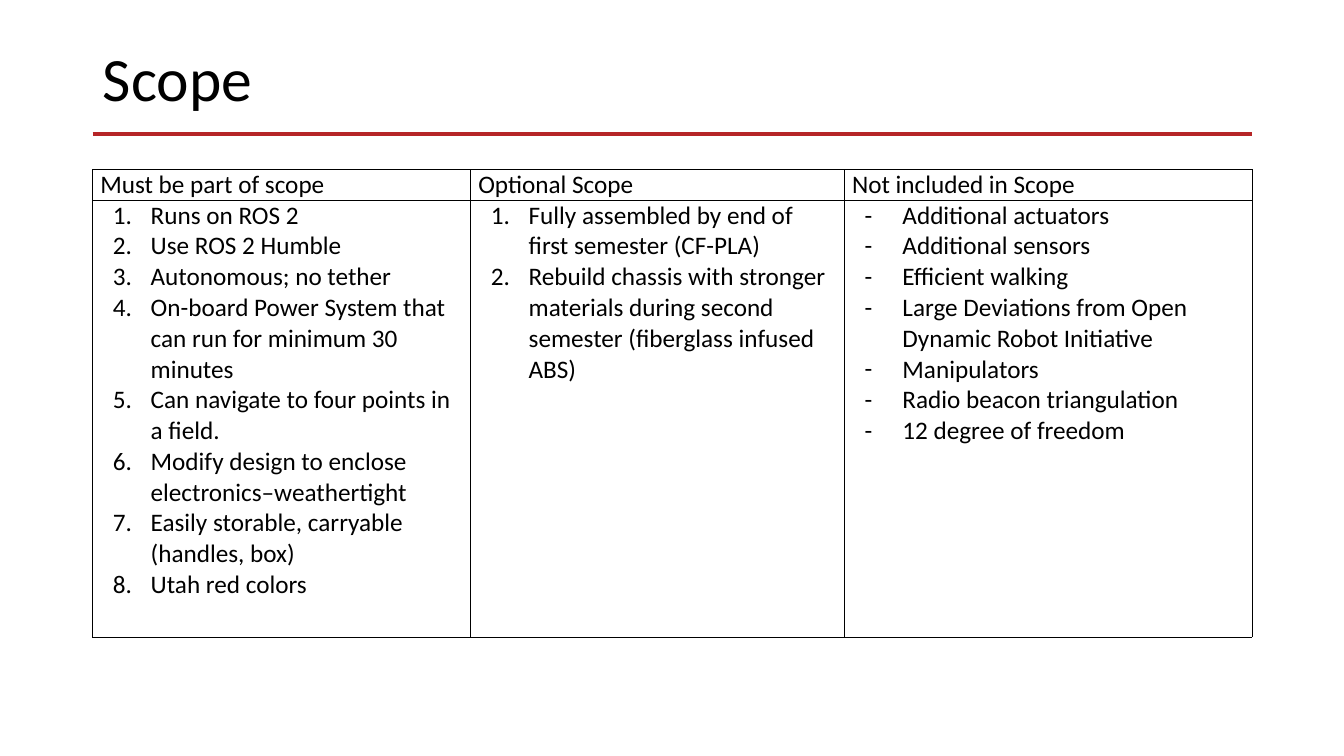
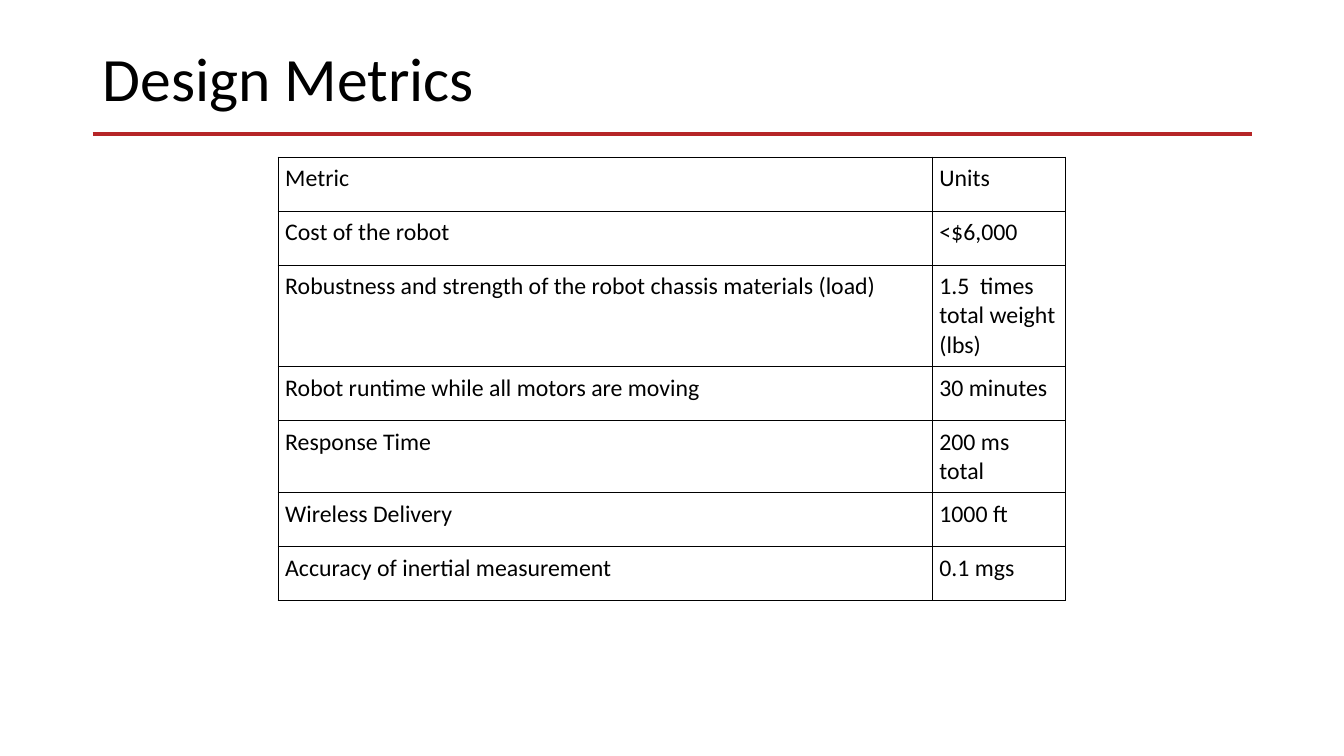
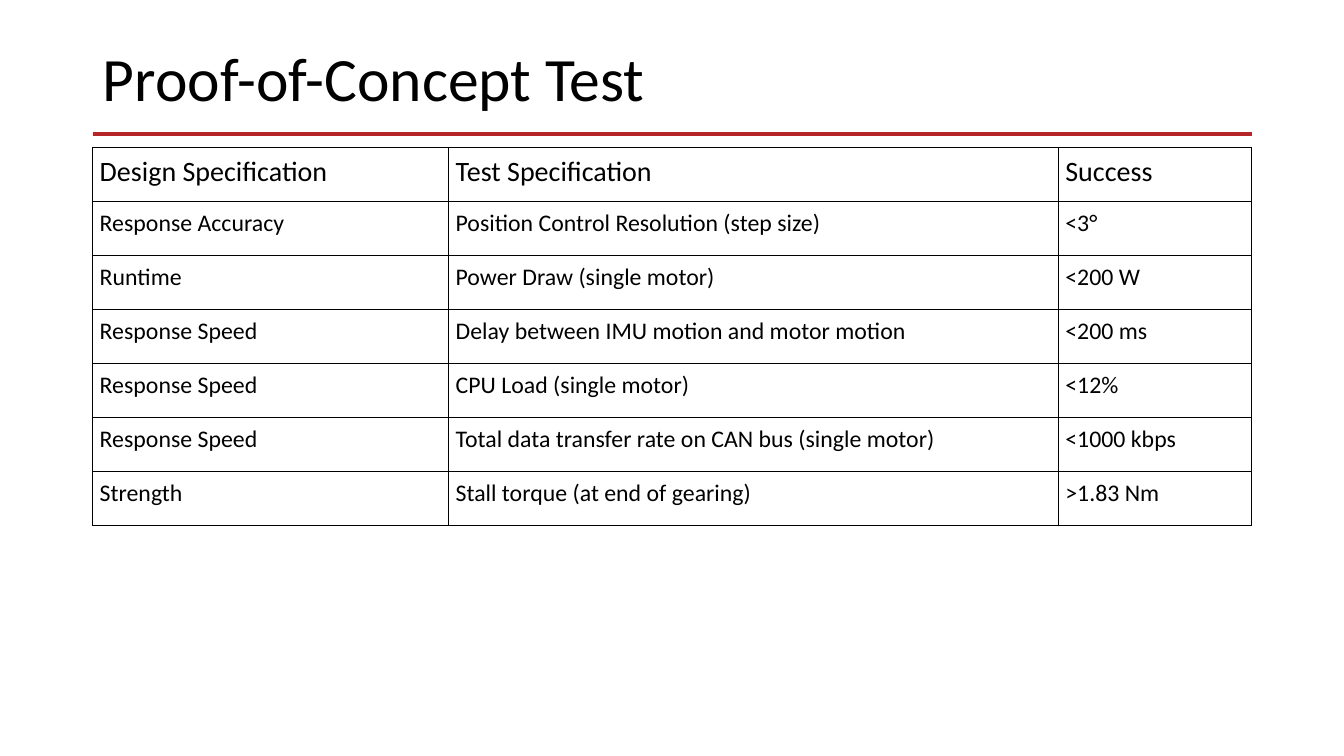
import pptx
import pptx.dml.color
import pptx.enum.text
import pptx.util
from lxml import etree

Pt = pptx.util.Pt
A = "{http://schemas.openxmlformats.org/drawingml/2006/main}"
BLACK, RED = "000000", "B62527"
LEFT, WIDTH = 66.24, 828
SLIDE_W, SLIDE_H = 960, 540


def rgb(value):
    return pptx.dml.color.RGBColor.from_string(value)


def set_all(obj, values):
    for name, value in values.items():
        setattr(obj, name, value)


class Deck:
    """Shared style and the current slide, with a method per kind of element."""

    font_name = "Calibri"

    def __init__(self):
        self.prs = pptx.Presentation()
        set_all(self.prs, {"slide_width": Pt(SLIDE_W), "slide_height": Pt(SLIDE_H)})
        self.s = None

    def slide(self, title):
        self.s = self.prs.slides.add_slide(self.prs.slide_layouts[5])
        self.title(title)
        self.rule(LEFT, 95.75, LEFT + WIDTH)

    def run(self, p, text, size):
        r = p.add_run()
        r.text = text
        set_all(r.font, {"name": self.font_name, "size": Pt(size), "bold": False})
        r.font.color.rgb = rgb(BLACK)

    def title(self, text):
        sp = self.s.shapes.title
        set_all(sp, {"left": Pt(LEFT), "top": Pt(28.75), "width": Pt(WIDTH), "height": Pt(59)})
        tf = sp.text_frame
        set_all(tf, {
            "vertical_anchor": pptx.enum.text.MSO_ANCHOR.MIDDLE,
            "auto_size": pptx.enum.text.MSO_AUTO_SIZE.NONE,
            "word_wrap": True,
        })
        p = tf.paragraphs[0]
        set_all(p, {"alignment": pptx.enum.text.PP_ALIGN.LEFT, "line_spacing": 0.9})
        self.run(p, text, 44)

    def rule(self, x1, y, x2):
        line = self.s.shapes.add_connector(
            pptx.enum.shapes.MSO_CONNECTOR.STRAIGHT, Pt(x1), Pt(y), Pt(x2), Pt(y))
        line.line.color.rgb = rgb(RED)
        line.line.width = Pt(2.25)
        etree.SubElement(line._element.spPr, A + "effectLst")

    def borders(self, cell, width):
        tc_pr = cell._tc.get_or_add_tcPr()
        for side in ("lnL", "lnR", "lnT", "lnB"):
            ln = etree.SubElement(tc_pr, A + side, w=str(Pt(width)))
            fill = etree.SubElement(ln, A + "solidFill")
            etree.SubElement(fill, A + "srgbClr", val=BLACK)

    def bullet(self, p, marker):
        p_pr = p._p.get_or_add_pPr()
        set_all_indent = {"marL": Pt(36), "indent": Pt(-27)}
        for name, value in set_all_indent.items():
            p_pr.set(name, str(value))
        color = etree.SubElement(p_pr, A + "buClr")
        etree.SubElement(color, A + "srgbClr", val=BLACK)
        etree.SubElement(p_pr, A + "buFont", typeface=self.font_name)
        if marker == "1.":
            etree.SubElement(p_pr, A + "buAutoNum", type="arabicPeriod")
        else:
            etree.SubElement(p_pr, A + "buChar", char=marker)

    def cell(self, cell, content, size, margins, border):
        set_all(cell, margins)
        self.borders(cell, border)
        cell.fill.background()
        marker, items = (None, [content]) if isinstance(content, str) else content
        tf = cell.text_frame
        for i, text in enumerate(items):
            p = tf.add_paragraph() if i else tf.paragraphs[0]
            if marker:
                self.bullet(p, marker)
            self.run(p, text, size)

    def table(self, x, y, cols, heights, rows, size=17, head_size=17,
              margin_x=5, margin_y=5, border=1):
        tbl = self.s.shapes.add_table(
            len(rows), len(cols), Pt(x), Pt(y), Pt(sum(cols)), Pt(sum(heights))).table
        set_all(tbl, {"first_row": False, "horz_banding": False})
        margins = {"margin_left": Pt(margin_x), "margin_right": Pt(margin_x),
                   "margin_top": Pt(margin_y), "margin_bottom": Pt(margin_y)}
        for column, width in zip(tbl.columns, cols):
            column.width = Pt(width)
        for i, (row, height) in enumerate(zip(rows, heights)):
            tbl.rows[i].height = Pt(height)
            for j, content in enumerate(row):
                self.cell(tbl.cell(i, j), content, size if i else head_size, margins, border)


SCOPE = [
    ("Must be part of scope", "Optional Scope", "Not included in Scope"),
    (
        ("1.", [
            "Runs on ROS 2",
            "Use ROS 2 Humble",
            "Autonomous; no tether",
            "On-board Power System that can run for minimum 30 minutes",
            "Can navigate to four points in a field.",
            "Modify design to enclose electronics–weathertight",
            "Easily storable, carryable (handles, box)",
            "Utah red colors",
        ]),
        ("1.", [
            "Fully assembled by end of first semester (CF-PLA)",
            "Rebuild chassis with stronger materials during second semester "
            "(fiberglass infused ABS)",
        ]),
        ("-", [
            "Additional actuators",
            "Additional sensors",
            "Efficient walking",
            "Large Deviations from Open Dynamic Robot Initiative",
            "Manipulators",
            "Radio beacon triangulation",
            "12 degree of freedom",
        ]),
    ),
]

METRICS = [
    ("Metric", "Units"),
    ("Cost of the robot", "<$6,000"),
    ("Robustness and strength of the robot chassis materials (load)",
     "1.5  times total weight (lbs)"),
    ("Robot runtime while all motors are moving", "30 minutes"),
    ("Response Time", "200 ms total"),
    ("Wireless Delivery", "1000 ft"),
    ("Accuracy of inertial measurement", "0.1 mgs"),
]

TESTS = [
    ("Design Specification", "Test Specification", "Success"),
    ("Response Accuracy", "Position Control Resolution (step size)", "<3°"),
    ("Runtime", "Power Draw (single motor)", "<200 W"),
    ("Response Speed", "Delay between IMU motion and motor motion", "<200 ms"),
    ("Response Speed", "CPU Load (single motor)", "<12%"),
    ("Response Speed", "Total data transfer rate on CAN bus (single motor)", "<1000 kbps"),
    ("Strength", "Stall torque (at end of gearing)", ">1.83 Nm"),
]


def main():
    deck = Deck()
    row_height = 38.6

    deck.slide("Scope")
    deck.table(LEFT, 121, [270, 267, 291], [22, 312], SCOPE, size=18, head_size=18,
               margin_x=5.4, margin_y=0, border=0.5)

    deck.slide("Design Metrics")
    deck.table(198.75, 112.25, [467.25, 95], [row_height] * len(METRICS), METRICS)

    deck.slide("Proof-of-Concept Test")
    deck.table(LEFT, 105.25, [254.25, 435.5, 138.25], [row_height] * len(TESTS), TESTS,
               head_size=20)

    deck.prs.save("out.pptx")


if __name__ == "__main__":
    main()
